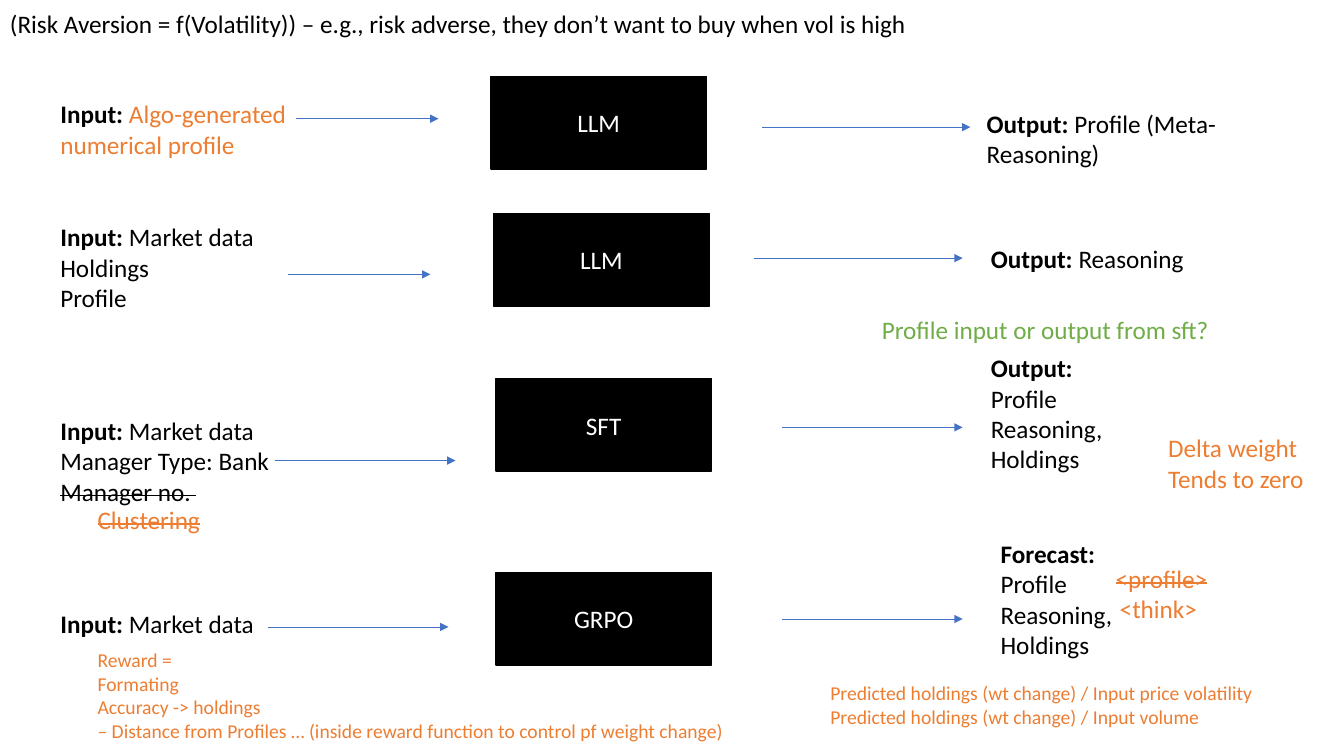
from lxml.etree import SubElement
from pptx import Presentation
from pptx.dml.color import RGBColor
from pptx.enum.shapes import MSO_CONNECTOR, MSO_SHAPE
from pptx.enum.text import MSO_ANCHOR, MSO_AUTO_SIZE, PP_ALIGN
from pptx.oxml.ns import qn
from pptx.util import Pt

BLACK = RGBColor(0x00, 0x00, 0x00)
WHITE = RGBColor(0xFF, 0xFF, 0xFF)
BLUE = RGBColor(0x44, 0x72, 0xC4)
ORANGE = RGBColor(0xED, 0x7D, 0x31)
GREEN = RGBColor(0x70, 0xAD, 0x47)

FONT = "Calibri"
BODY, SMALL = 18, 14
COLUMN_WIDTH = 226
MODEL_WIDTH, MODEL_HEIGHT = 154, 66

# name, left, top
MODELS = [
    ("LLM", 350.6, 54.7),
    ("LLM", 352.6, 152.6),
    ("SFT", 354.2, 270.6),
    ("GRPO", 354.2, 409),
]

# start x, end x, y
ARROWS = [
    (211.6, 313.2, 84.8), (544.2, 693.2, 90.8),
    (205.8, 307.4, 196), (538.6, 687.6, 184.4),
    (196.6, 325.4, 329), (558.7, 687.6, 305.3),
    (191.5, 320.4, 447.8), (558.7, 687.6, 442.2),
]

# left, top, paragraphs; a paragraph is a list of (text, styles) runs
LABELED_TEXTS = [
    (36, 67, [[("Input: ", "bold"), ("Algo-generated numerical profile", "orange")]]),
    (36, 154.8, [[("Input: ", "bold"), ("Market data", "")],
                 [("Holdings", "")], [("Profile", "")]]),
    (36, 293.2, [[("Input: ", "bold"), ("Market data", "")],
                 [("Manager Type: Bank", "")], [("Manager no. ", "strike")]]),
    (36, 430.7, [[("Input: ", "bold"), ("Market data", "")]]),
    (697.7, 73.5, [[("Output: ", "bold"), ("Profile (Meta-Reasoning)", "")]]),
    (700.6, 170, [[("Output: ", "bold"), ("Reasoning", "")]]),
    (700.6, 248.4, [[("Output:", "bold")], [("Profile", "")],
                    [("Reasoning,", "")], [("Holdings", "")]]),
    (707.6, 381, [[("Forecast:", "bold")], [("Profile", "")],
                  [("Reasoning,", "")], [("Holdings", "")]]),
]

# left, top, width, size, colour, wrap, strike, lines
NOTES = [
    (0, 2.2, 661, BODY, BLACK, False, False,
     ["(Risk Aversion = f(Volatility)) – e.g., risk adverse, they don’t want to buy when vol is high"]),
    (622.8, 221.2, 251.3, BODY, GREEN, False, False, ["Profile input or output from sft?"]),
    (827.3, 305.5, 112.3, BODY, ORANGE, False, False, ["Delta weight", "Tends to zero"]),
    (62.6, 356.5, 97.2, BODY, ORANGE, True, True, ["Clustering"]),
    (789.8, 399, 80.6, BODY, ORANGE, False, True, ["<profile>"]),
    (792.7, 420.6, 70.6, BODY, ORANGE, False, False, ["<think>"]),
    (62.6, 459.4, 490.3, SMALL, ORANGE, True, False,
     ["Reward =", "Formating", "Accuracy -> holdings",
      "– Distance from Profiles … (inside reward function to control pf weight change)"]),
    (586, 483, 347.8, SMALL, ORANGE, True, False,
     ["Predicted holdings (wt change) / Input price volatility",
      "Predicted holdings (wt change) / Input volume"]),
]


def add_span(para, text, size, color, bold=False, strike=False):
    span = para.add_run()
    span.text = text
    span.font.name = FONT
    span.font.size = Pt(size)
    span.font.bold = bold
    span.font.color.rgb = color
    if strike:
        span._r.get_or_add_rPr().set("strike", "sngStrike")


def add_text(page, left, top, width, size, wrap, paragraphs):
    """Add a text box; each paragraph is a list of (text, colour, bold, strike)."""
    height = len(paragraphs) * size * 1.2 + 7.2
    box = page.shapes.add_textbox(Pt(left), Pt(top), Pt(width), Pt(height))
    frame = box.text_frame
    frame.word_wrap = wrap
    frame.auto_size = MSO_AUTO_SIZE.SHAPE_TO_FIT_TEXT
    for index, spans in enumerate(paragraphs):
        para = frame.add_paragraph() if index else frame.paragraphs[0]
        for text, color, bold, strike in spans:
            add_span(para, text, size, color, bold, strike)


def add_model(page, name, left, top):
    box = page.shapes.add_shape(MSO_SHAPE.RECTANGLE, Pt(left), Pt(top),
                                Pt(MODEL_WIDTH), Pt(MODEL_HEIGHT))
    box.shadow.inherit = False
    box.fill.solid()
    box.fill.fore_color.rgb = BLACK
    box.line.color.rgb = BLACK
    box.line.width = Pt(1)
    box.text_frame.vertical_anchor = MSO_ANCHOR.MIDDLE
    para = box.text_frame.paragraphs[0]
    para.alignment = PP_ALIGN.CENTER
    add_span(para, name, BODY, WHITE)


def add_arrow(page, start, end, y):
    arrow = page.shapes.add_connector(MSO_CONNECTOR.STRAIGHT, Pt(start), Pt(y), Pt(end), Pt(y))
    arrow.line.color.rgb = BLUE
    arrow.line.width = Pt(0.5)
    SubElement(arrow.line._get_or_add_ln(), qn("a:tailEnd"), type="triangle")
    SubElement(arrow._element.spPr, qn("a:effectLst"))


def main():
    deck = Presentation()
    deck.slide_width, deck.slide_height = Pt(960), Pt(540)
    page = deck.slides.add_slide(deck.slide_layouts[6])
    for model in MODELS:
        add_model(page, *model)
    for arrow in ARROWS:
        add_arrow(page, *arrow)
    for left, top, paragraphs in LABELED_TEXTS:
        styled = [[(text, ORANGE if style == "orange" else BLACK, style == "bold", style == "strike")
                   for text, style in spans] for spans in paragraphs]
        add_text(page, left, top, COLUMN_WIDTH, BODY, True, styled)
    for left, top, width, size, color, wrap, strike, lines in NOTES:
        add_text(page, left, top, width, size, wrap,
                 [[(line, color, False, strike)] for line in lines])
    deck.save("out.pptx")


if __name__ == "__main__":
    main()
